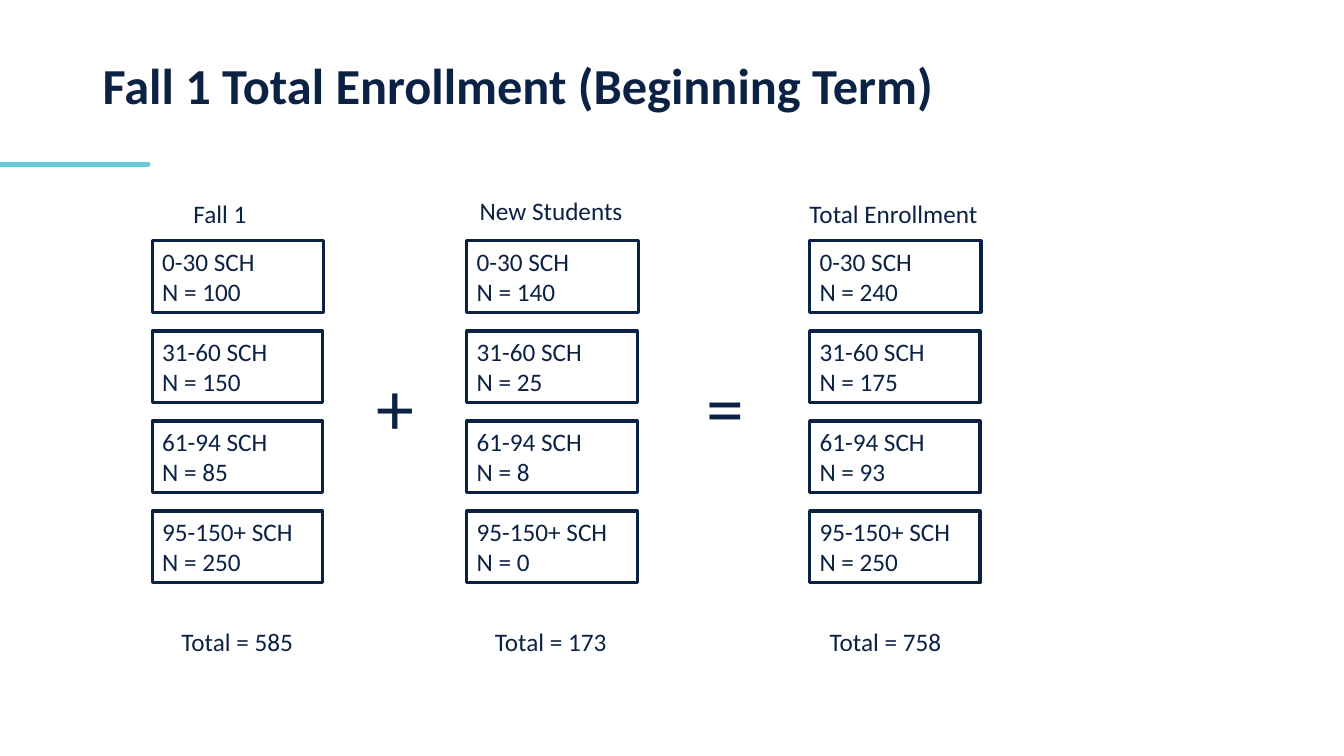
import lxml.etree
import pptx
import pptx.dml.color
import pptx.enum.shapes
import pptx.enum.text
import pptx.oxml.ns
import pptx.util

Inches = pptx.util.Inches
COLORS = {"navy": "0C2244", "teal": "66CAD8"}


class SlideBuilder:
    font = "Calibri"
    size = 18

    def __init__(self, slide):
        self.slide = slide

    def color(self, name):
        return pptx.dml.color.RGBColor.from_string(COLORS[name])

    def fill_text(self, shape, text, size, bold=False):
        shape.text_frame.text = text
        for para in shape.text_frame.paragraphs:
            para.alignment = pptx.enum.text.PP_ALIGN.LEFT
            for span in para.runs:
                span.font.name = self.font
                span.font.size = pptx.util.Pt(size)
                span.font.bold = bold
                span.font.color.rgb = self.color("navy")

    def label(self, text, left, top, width, height=0.4, size=size,
              wrap=False, bold=False):
        box = self.slide.shapes.add_textbox(
            Inches(left), Inches(top), Inches(width), Inches(height))
        self.fill_text(box, text, size, bold)
        box.text_frame.word_wrap = wrap
        return box

    def title(self, text):
        box = self.label(text, 0.92, 0.4, 11.5, 0.96, size=36,
                         wrap=True, bold=True)
        box.text_frame.vertical_anchor = pptx.enum.text.MSO_ANCHOR.MIDDLE
        box.text_frame.paragraphs[0].line_spacing = 0.9

    def group_box(self, text, left, top, width):
        box = self.slide.shapes.add_shape(
            pptx.enum.shapes.MSO_SHAPE.RECTANGLE,
            Inches(left), Inches(top), Inches(width), Inches(0.71))
        box.shadow.inherit = False
        box.fill.background()
        box.line.color.rgb = self.color("navy")
        box.line.width = pptx.util.Pt(2.25)
        self.fill_text(box, text, self.size)
        box.text_frame.word_wrap = True
        box.text_frame.vertical_anchor = pptx.enum.text.MSO_ANCHOR.TOP

    def accent_line(self, width, top):
        line = self.slide.shapes.add_connector(
            pptx.enum.shapes.MSO_CONNECTOR.STRAIGHT,
            Inches(0), Inches(top), Inches(width), Inches(top))
        line.line.color.rgb = self.color("teal")
        line.line.width = pptx.util.Pt(3.25)
        properties = line._element.spPr
        properties.find(pptx.oxml.ns.qn("a:ln")).set("cap", "rnd")
        lxml.etree.SubElement(properties, pptx.oxml.ns.qn("a:effectLst"))


BANDS = ["0-30 SCH", "31-60 SCH", "61-94 SCH", "95-150+ SCH"]
COLUMNS = [
    {"left": 1.51, "heading": ("Fall 1", 1.82, 1.92, 0.73),
     "counts": [100, 150, 85, 250], "total_left": 1.7},
    {"left": 4.63, "heading": ("New Students", 4.66, 1.89, 1.63),
     "counts": [140, 25, 8, 0], "total_left": 4.81},
    {"left": 8.03, "heading": ("Total Enrollment", 7.93, 1.92, 1.88),
     "counts": [240, 175, 93, 250], "total_left": 8.13},
]
OPERATORS = {"+": 3.64, "=": 6.91}
FIRST_TOP = 2.39
LAST_TOP = 5.07
ROW_STEP = (LAST_TOP - FIRST_TOP) / (len(BANDS) - 1)


def main():
    deck = pptx.Presentation()
    deck.slide_width = Inches(13.33)
    deck.slide_height = Inches(7.5)
    page = SlideBuilder(deck.slides.add_slide(deck.slide_layouts[6]))

    page.accent_line(1.47, 1.63)
    page.title("Fall 1 Total Enrollment (Beginning Term)")
    for column in COLUMNS:
        page.label(*column["heading"])
        for row, (band, count) in enumerate(zip(BANDS, column["counts"])):
            page.group_box(f"{band}\nN = {count}", column["left"],
                           FIRST_TOP + row * ROW_STEP,
                           1.7 if row == 0 else 1.69)
        page.label(f"Total = {sum(column['counts'])}",
                   column["total_left"], 6.16, 1.32)
    for symbol, left in OPERATORS.items():
        page.label(symbol, left, 3.52, 0.55, 1.02, size=54, wrap=True)

    deck.save("out.pptx")


if __name__ == "__main__":
    main()
